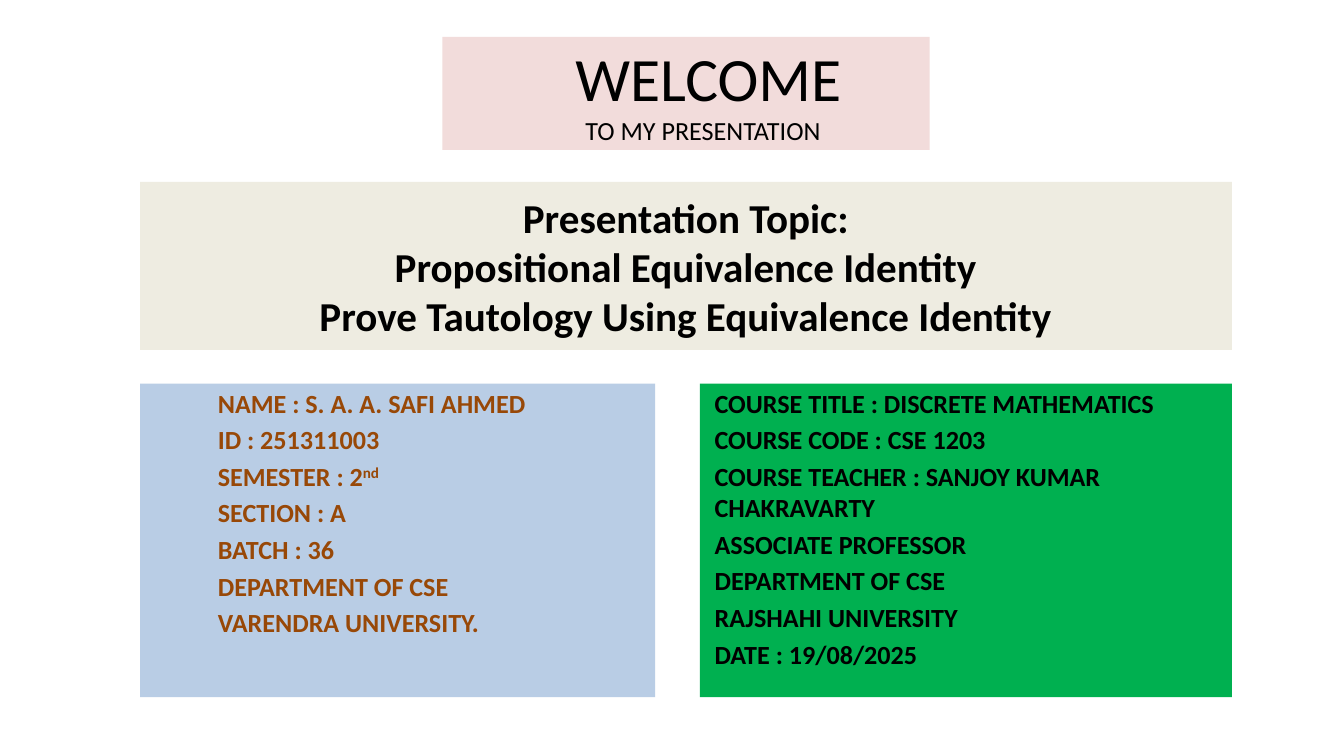
from pptx import Presentation
from pptx.dml.color import RGBColor
from pptx.enum.shapes import MSO_SHAPE
from pptx.enum.text import MSO_ANCHOR, PP_ALIGN
from pptx.util import Inches, Pt

RECT = MSO_SHAPE.RECTANGLE
TOP, MIDDLE = MSO_ANCHOR.TOP, MSO_ANCHOR.MIDDLE
LEFT, CENTER = PP_ALIGN.LEFT, PP_ALIGN.CENTER

BLACK = RGBColor(0x00, 0x00, 0x00)
BROWN = RGBColor(0x98, 0x48, 0x07)
PINK = RGBColor(0xF2, 0xDC, 0xDB)
CREAM = RGBColor(0xEE, 0xEC, 0xE1)
BLUE = RGBColor(0xB9, 0xCD, 0xE5)
GREEN = RGBColor(0x00, 0xB0, 0x50)

FONT = "Calibri"
WIDTH, HEIGHT = Inches(20), Inches(11.25)
COLS, ROWS = 48, 27

STUDENT = [
    "NAME : S. A. A. SAFI AHMED",
    "ID : 251311003",
    "SEMESTER : 2^nd",
    "SECTION : A",
    "BATCH : 36",
    "DEPARTMENT OF CSE",
    "VARENDRA UNIVERSITY.",
]
COURSE = [
    "COURSE TITLE : DISCRETE MATHEMATICS",
    "COURSE CODE : CSE 1203",
    "COURSE TEACHER : SANJOY KUMAR CHAKRAVARTY",
    "ASSOCIATE PROFESSOR",
    "DEPARTMENT OF CSE",
    "RAJSHAHI UNIVERSITY",
    "DATE : 19/08/2025",
]


def add_panel(slide, box, fill, anchor=TOP):
    """Draw a filled panel at box (columns and rows); return its text frame."""
    col, row, wide, high = box
    panel = slide.shapes.add_shape(
        RECT, int(WIDTH * col / COLS), int(HEIGHT * row / ROWS),
        int(WIDTH * wide / COLS), int(HEIGHT * high / ROWS))
    panel.shadow.inherit = False
    panel.fill.solid()
    panel.fill.fore_color.rgb = fill
    panel.line.fill.background()
    frame = panel.text_frame
    frame.word_wrap = True
    frame.vertical_anchor = anchor
    return frame


def add_line(frame, first, text, size, color=BLACK, bold=False,
             indent=0, align=LEFT):
    """Add one paragraph; what follows a ^ is raised."""
    para = frame.paragraphs[0] if first else frame.add_paragraph()
    base, _, raised = text.partition("^")
    para.text = base
    if raised:
        run = para.add_run()
        run.text = raised
        run.font._element.set("baseline", "30000")
    para.alignment = align
    para._p.get_or_add_pPr().set("marL", str(Inches(indent)))
    for run in para.runs:
        font = run.font
        font.name, font.size, font.bold = FONT, Pt(size), bold
        font.color.rgb = color
    return para


def add_welcome(slide, box):
    frame = add_panel(slide, box, PINK)
    add_line(frame, True, "WELCOME", 66, indent=1.88)
    add_line(frame, False, "TO MY PRESENTATION", 28, indent=2.03)


def add_topic(slide, box):
    frame = add_panel(slide, box, CREAM, MIDDLE)
    add_line(frame, True,
             "Presentation Topic:\vPropositional Equivalence Identity\v"
             "Prove Tautology Using Equivalence Identity",
             44, bold=True, align=CENTER)


def add_facts(slide, box, lines, fill, color, indent):
    frame = add_panel(slide, box, fill)
    for i, text in enumerate(lines):
        para = add_line(frame, i == 0, text, 28, color, True, indent)
        if i:
            para.space_before = Pt(5.6)


def main():
    deck = Presentation()
    deck.slide_width, deck.slide_height = WIDTH, HEIGHT
    slide = deck.slides.add_slide(deck.slide_layouts[6])
    add_topic(slide, (5, 6.5, 39, 6))
    add_facts(slide, (5, 13.7, 18.4, 11.2), STUDENT, BLUE, BROWN, 1.06)
    add_facts(slide, (25, 13.7, 19, 11.2), COURSE, GREEN, BLACK, 0.12)
    add_welcome(slide, (15.8, 1.32, 17.4, 4.03))
    deck.save("out.pptx")


if __name__ == "__main__":
    main()
